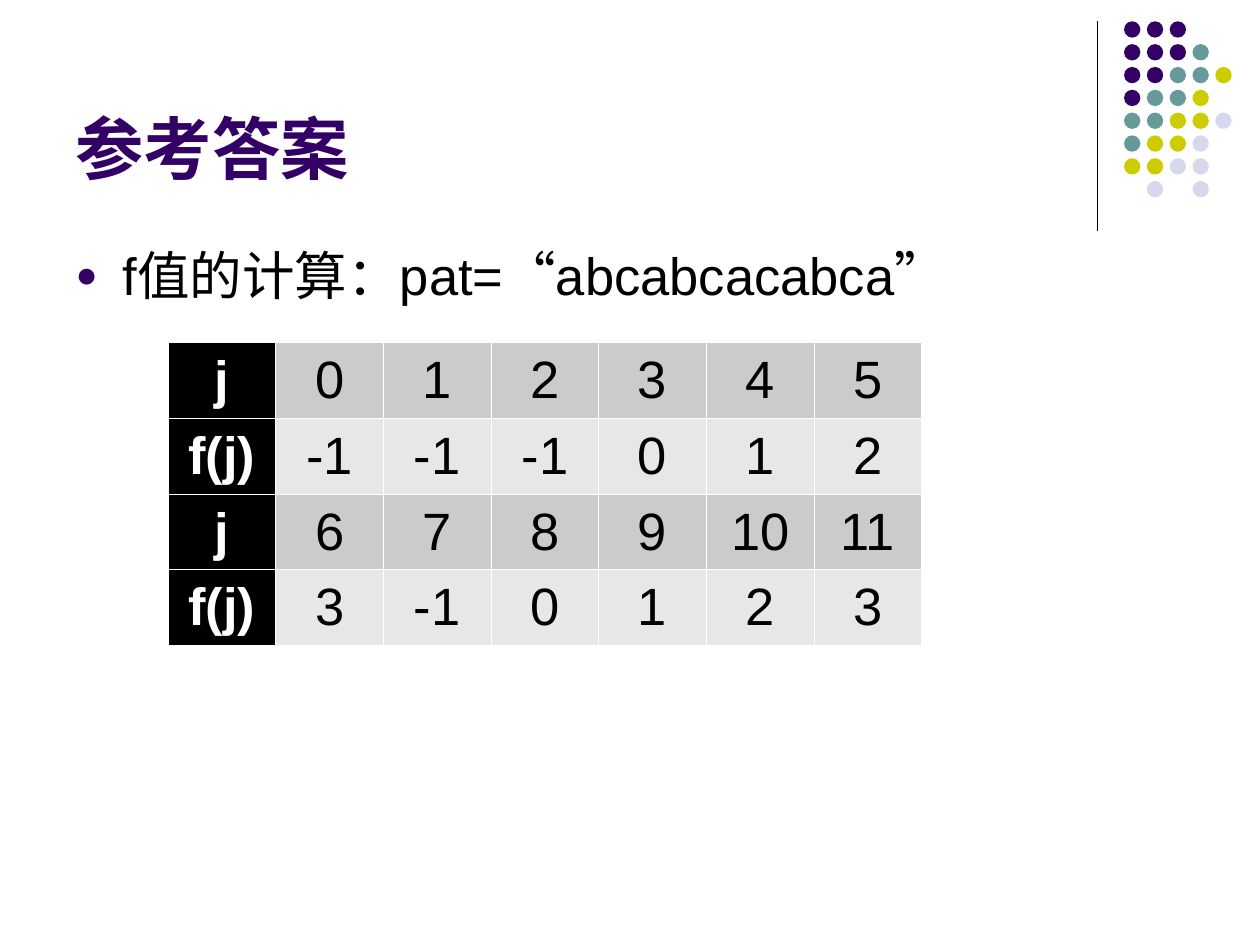
from lxml import etree
from pptx import Presentation
from pptx.dml.color import RGBColor
from pptx.enum import shapes, text
from pptx.oxml import ns
from pptx.util import Cm, Pt

PURPLE = RGBColor(0x33, 0x00, 0x66)
TEAL = RGBColor(0x66, 0x99, 0x99)
LIME = RGBColor(0xCC, 0xCC, 0x00)
LILAC = RGBColor(0xD8, 0xD8, 0xEC)
BLACK = RGBColor(0x00, 0x00, 0x00)
WHITE = RGBColor(0xFF, 0xFF, 0xFF)
DARK = RGBColor(0xCB, 0xCB, 0xCB)
LIGHT = RGBColor(0xE7, 0xE7, 0xE7)


def add(parent, tag, **attrs):
    return etree.SubElement(parent, ns.qn(tag), attrs)


def style(para, size, color, bold=False):
    font = para.font
    font.name, font.size, font.bold = "Arial", Pt(size), bold
    font.color.rgb = color


prs = Presentation()
prs.slide_width, prs.slide_height = Cm(25.4), Cm(19.05)
slide = prs.slides.add_slide(prs.slide_layouts[1])

# Vertical rule
rule = slide.shapes.add_connector(
    shapes.MSO_CONNECTOR.STRAIGHT, Cm(22.12), Cm(0.43), Cm(22.12), Cm(4.65))
rule.line.color.rgb = BLACK
rule.line.width = Pt(0.75)
add(rule._element.spPr, "a:effectLst")

# Dot pattern
hues = {"P": PURPLE, "T": TEAL, "L": LIME, "V": LILAC}
dots = ["PPP", "PPPT", "PPTTL", "PTTL", "TTLLV", "TLLV", "LLVV", " V V"]
group = slide.shapes.add_group_shape()
for row, line in enumerate(dots):
    for col, key in enumerate(line):
        if key in hues:
            dot = group.shapes.add_shape(
                shapes.MSO_SHAPE.OVAL, Cm(22.66 + 0.46 * col),
                Cm(0.43 + 0.46 * row), Cm(0.33), Cm(0.33))
            dot.shadow.inherit = False
            dot.fill.solid()
            dot.fill.fore_color.rgb = hues[key]
            dot.line.fill.background()

# Title
title = slide.shapes.title
title.left, title.top, title.width, title.height = Cm(1.27), Cm(0.33), Cm(20.96), Cm(3.6)
title.text_frame.vertical_anchor = text.MSO_ANCHOR.BOTTOM
para = title.text_frame.paragraphs[0]
para.text = "参考答案"
para.alignment = text.PP_ALIGN.LEFT
style(para, 39, PURPLE, True)

# Bulleted line
body = slide.placeholders[1]
body.left, body.top, body.width, body.height = Cm(1.27), Cm(4.78), Cm(22.86), Cm(12.24)
para = body.text_frame.paragraphs[0]
para.text = "f值的计算：pat=“abcabcacabca”"
para.space_before = Pt(0)
props = para._p.get_or_add_pPr()
props.set("marL", str(Cm(0.95)))
props.set("indent", str(Cm(-0.95)))
add(add(props, "a:buClr"), "a:srgbClr", val=str(PURPLE))
add(props, "a:buSzPct", val="70000")
add(props, "a:buFont", typeface="Arial")
add(props, "a:buChar", char="●")
style(para, 30, BLACK)

# Table of f(j) values
rows = [
    ["j", 0, 1, 2, 3, 4, 5],
    ["f(j)", -1, -1, -1, 0, 1, 2],
    ["j", 6, 7, 8, 9, 10, 11],
    ["f(j)", 3, -1, 0, 1, 2, 3],
]
table = slide.shapes.add_table(
    4, 7, Cm(3.39), Cm(6.91), Cm(15.19), Cm(6.1)).table
for r, values in enumerate(rows):
    for c, value in enumerate(values):
        cell = table.cell(r, c)
        cell.vertical_anchor = text.MSO_ANCHOR.MIDDLE
        para = cell.text_frame.paragraphs[0]
        para.text = str(value)
        para.alignment = text.PP_ALIGN.CENTER
        style(para, 30, BLACK if c else WHITE, c == 0)
        props = cell._tc.get_or_add_tcPr()
        for side in ("a:lnL", "a:lnR", "a:lnT", "a:lnB"):
            edge = add(props, side, w=str(Pt(0.45)))
            add(add(edge, "a:solidFill"), "a:srgbClr", val=str(WHITE))
        cell.fill.solid()
        cell.fill.fore_color.rgb = (LIGHT if r % 2 else DARK) if c else BLACK

prs.save("out.pptx")
